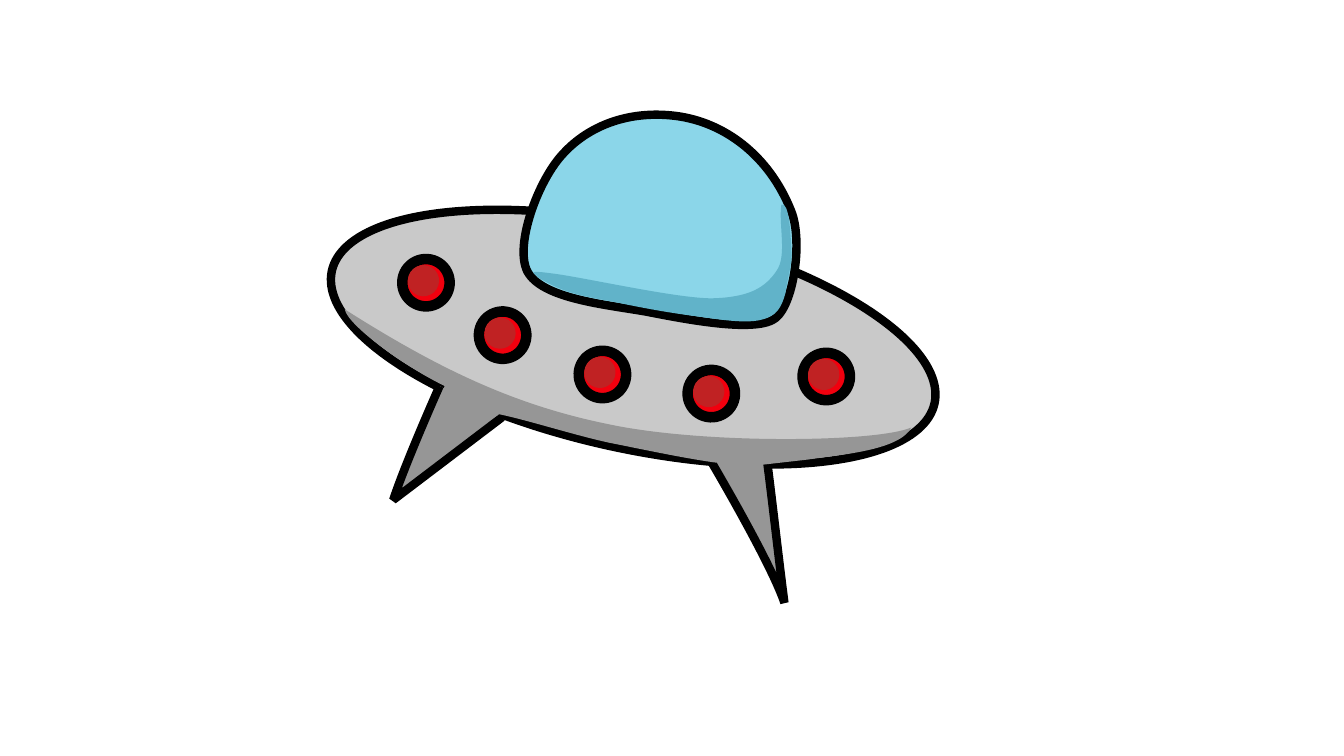
import math

import pptx
import pptx.dml.color
import pptx.enum.shapes
import pptx.oxml.ns
import pptx.util
from lxml import etree

COLORS = {
    "outline": "000000",
    "hull": "C9C9C9",
    "shade": "969696",
    "glass": "8BD6E9",
    "glass_shade": "61B3C9",
    "lamp": "F1000E",
    "lamp_core": "C02223",
}
COLUMNS, ROWS = 1333, 750
TILT = 3.5
LAMP_SIZE, CORE_SIZE = 47, 31
LAMPS_BEHIND_DOME = [(475, 309)]
LAMPS_BEFORE_DOME = [(574, 348), (682, 367), (796, 350), (399, 257)]

DOME = [
    (523, 269),
    (510, 243, 534, 178, 559, 152),
    (583, 126, 622, 109, 670, 115),
    (718, 121, 763, 154, 785, 210),
    (796, 238, 788, 299, 770, 315),
    (752, 331, 681, 317, 640, 309),
    (599, 302, 537, 296, 523, 269),
]
DOME_SHADE = [
    (533, 275),
    (554, 287, 565, 292, 607, 299),
    (634, 305, 667, 311, 693, 314),
    (719, 318, 742, 321, 756, 317),
    (771, 313, 775, 305, 779, 291),
    (781, 276, 786, 262, 785, 247),
    (784, 233, 783, 200, 775, 203),
    (772, 223, 781, 254, 770, 269),
    (759, 285, 744, 295, 706, 296),
    (669, 296, 574, 274, 545, 271),
    (516, 267, 536, 274, 533, 275),
]
LEFT_LEG = [(498, 414), (390, 496), (403, 457, 436, 383, 436, 383)]
RIGHT_LEG = [
    (761, 459),
    (767, 506, 772, 552, 778, 598),
    (765, 559, 706, 459, 706, 459),
]
HULL_SHADE = [
    (342, 307),
    (435, 366, 510, 402, 604, 421),
    (698, 441, 871, 439, 904, 424),
    (892, 447, 834, 451, 801, 456),
    (757, 461),
    (742, 461, 736, 462, 710, 459),
    (680, 455, 638, 446, 603, 439),
    (567, 431, 524, 417, 495, 411),
    (464, 433, 428, 414, 441, 383),
    (396, 361, 344, 321, 342, 307),
]


class Drawing:
    """Hold the style, the grid and the group drawn on the current slide."""

    def __init__(self, presentation):
        """Add a blank slide with one group for the spacecraft."""
        self.cell_width = presentation.slide_width / COLUMNS
        self.cell_height = presentation.slide_height / ROWS
        self.slide = presentation.slides.add_slide(presentation.slide_layouts[6])
        self.group = self.slide.shapes.add_group_shape()

    def place(self, column, row):
        """Turn a grid position or extent into lengths."""
        return round(column * self.cell_width), round(row * self.cell_height)

    def paint(self, shape, fill, tilt, line_width):
        """Set the tilt, fill and outline of a shape."""
        shape.rotation = tilt
        shape.shadow.inherit = False
        shape.fill.solid()
        shape.fill.fore_color.rgb = pptx.dml.color.RGBColor.from_string(COLORS[fill])
        if not line_width:
            shape.line.fill.background()
            return
        shape.line.width = pptx.util.Pt(line_width)
        shape.line.color.rgb = pptx.dml.color.RGBColor.from_string(COLORS["outline"])

    def ellipse(self, box, fill, tilt, line_width=0):
        """Draw a tilted ellipse."""
        shape = self.group.shapes.add_shape(
            pptx.enum.shapes.MSO_SHAPE.OVAL, *self.place(*box[:2]), *self.place(*box[2:])
        )
        self.paint(shape, fill, tilt, line_width)

    def outline(self, box, segments, fill, tilt, line_width=0, close=True):
        """Draw a tilted freeform of straight and cubic segments in its box."""
        left, top, width, height = box
        angle = math.radians(-tilt)
        cosine, sine = math.cos(angle), math.sin(angle)

        def local(column, row):
            """Undo the tilt and measure from the corner of the box."""
            across = column - left - width / 2
            down = row - top - height / 2
            return self.place(width / 2 + across * cosine - down * sine,
                              height / 2 + across * sine + down * cosine)

        curves = [
            [local(*segment[index:index + 2]) for index in range(0, len(segment), 2)]
            for segment in segments
        ]
        builder = self.group.shapes.build_freeform(*curves[0][-1], scale=1.0)
        builder.add_line_segments([curve[-1] for curve in curves[1:]], close=close)
        shape = builder.convert_to_shape()
        shape.left, shape.top = self.place(left, top)
        shape.width, shape.height = self.place(width, height)
        self.bend(shape, curves, close)
        self.paint(shape, fill, tilt, line_width)
        if line_width:
            line = shape.line._get_or_add_ln()
            etree.SubElement(line, pptx.oxml.ns.qn("a:bevel"))

    def bend(self, shape, curves, close):
        """Write the segments of a freeform as lines and cubic curves."""
        trace = shape._element.xpath(".//a:path")[0]
        trace.clear()
        trace.set("w", str(shape.width))
        trace.set("h", str(shape.height))
        for index, curve in enumerate(curves):
            tag = "a:cubicBezTo" if len(curve) == 3 else "a:lnTo"
            segment = etree.SubElement(trace, pptx.oxml.ns.qn(tag if index else "a:moveTo"))
            for x, y in curve:
                etree.SubElement(segment, pptx.oxml.ns.qn("a:pt"), x=str(x), y=str(y))
        if close:
            etree.SubElement(trace, pptx.oxml.ns.qn("a:close"))

    def lamps(self, corners):
        """Draw round lamps with darker cores."""
        for column, row in corners:
            self.ellipse((column, row, LAMP_SIZE, LAMP_SIZE), "lamp", TILT, 7.5)
            self.ellipse((column + 5.5, row + 6, CORE_SIZE, CORE_SIZE), "lamp_core", TILT)


presentation = pptx.Presentation()
presentation.slide_width = pptx.util.Inches(13.33)
presentation.slide_height = pptx.util.Inches(7.5)

drawing = Drawing(presentation)
drawing.ellipse((322, 224, 612, 221), "hull", 12.4, 6)
drawing.lamps(LAMPS_BEHIND_DOME)
drawing.outline((522, 114, 270, 204), DOME, "glass", TILT, 6)
drawing.lamps(LAMPS_BEFORE_DOME)
drawing.outline((531, 196, 254, 118), DOME_SHADE, "glass_shade", TILT)
drawing.outline((403, 388, 69, 125), LEFT_LEG, "shade", 209.5, 6, close=False)
drawing.outline((714, 455, 56, 146), RIGHT_LEG, "shade", 173.7, 6, close=False)
drawing.outline((327, 358, 574, 97), HULL_SHADE, "shade", 13.1)
presentation.save("out.pptx")
